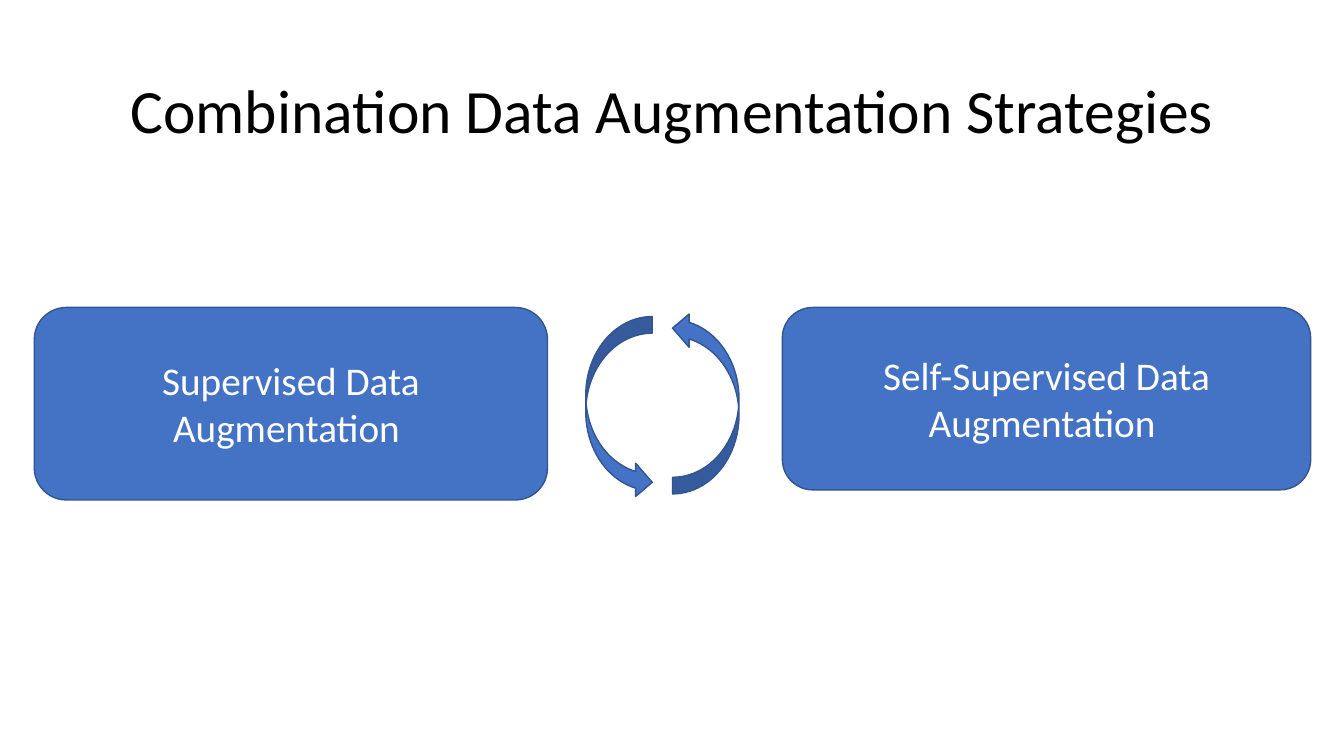
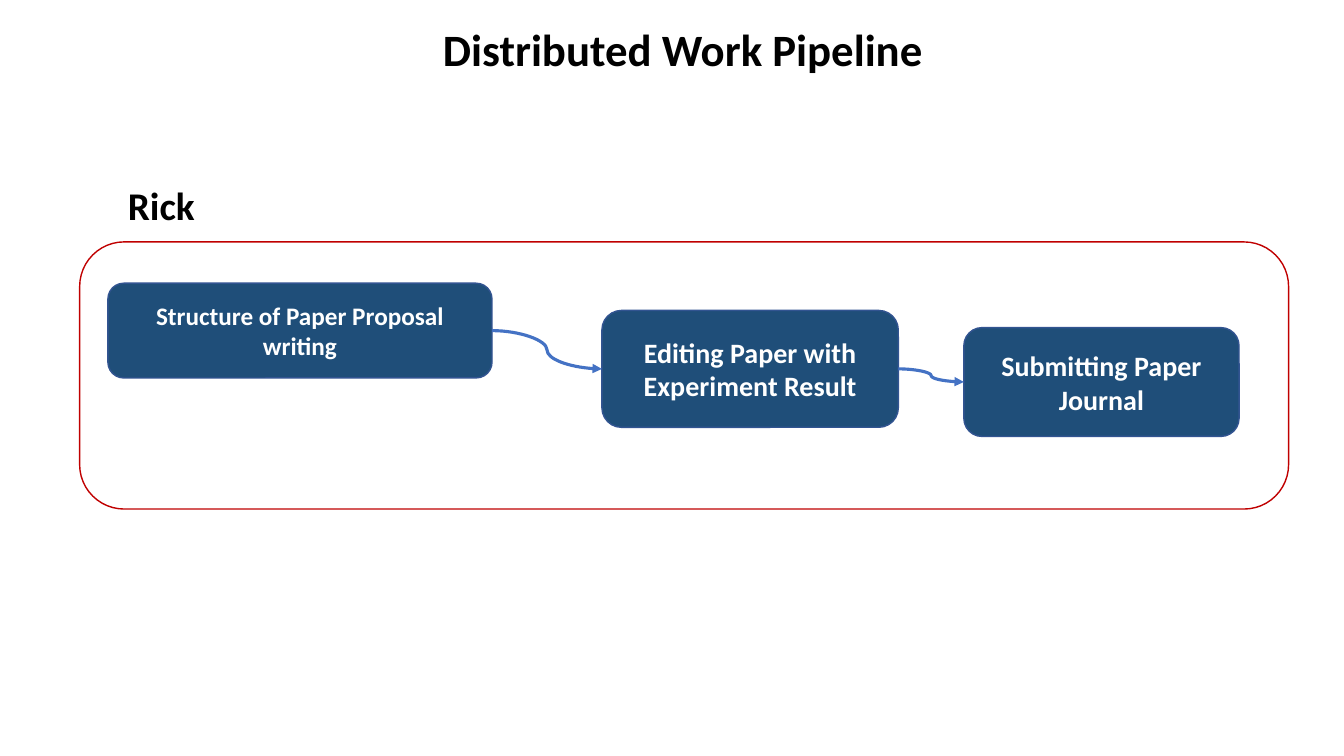
from lxml import etree
from pptx import Presentation
from pptx.dml.color import RGBColor
from pptx.enum.shapes import MSO_CONNECTOR, MSO_SHAPE as SHAPE
from pptx.enum.text import MSO_ANCHOR as ANCHOR, PP_ALIGN as ALIGN
from pptx.oxml.ns import qn
from pptx.util import Inches, Pt

FONT = "Calibri"
COLORS = {
    "text": "000000",
    "light": "FFFFFF",
    "blue": "4472C4",
    "navy": "1F4E79",
    "edge": "325491",
    "red": "C00000",
}
RIGHT_SITE, LEFT_SITE = 3, 1


def color(name):
    return RGBColor.from_string(COLORS[name])


def write(s, text, size, ink="text", bold=False, align=ALIGN.CENTER,
          anchor=ANCHOR.TOP):
    tf = s.text_frame
    tf.word_wrap = True
    tf.vertical_anchor = anchor
    p = tf.paragraphs[0]
    p.text = text
    p.alignment = align
    p.font.name = FONT
    p.font.size = Pt(size)
    p.font.bold = bold
    p.font.color.rgb = color(ink)
    return p


def add_text(slide, box, text, size, **style):
    tb = slide.shapes.add_textbox(*map(Inches, box))
    return write(tb, text, size, **style)


def add_shape(slide, kind, box, fill=None, line="edge"):
    sp = slide.shapes.add_shape(kind, *map(Inches, box))
    sp.shadow.inherit = False
    if fill:
        sp.fill.solid()
        sp.fill.fore_color.rgb = color(fill)
    else:
        sp.fill.background()
    sp.line.color.rgb = color(line)
    sp.line.width = Pt(1)
    return sp


def add_box(slide, box, text, size, fill, bold=False):
    sp = add_shape(slide, SHAPE.ROUNDED_RECTANGLE, box, fill)
    write(sp, text, size, ink="light", bold=bold, anchor=ANCHOR.MIDDLE)
    return sp


def add_link(slide, start, end):
    """Curved arrow from the right side of one box to the left of the next."""
    cx = slide.shapes.add_connector(MSO_CONNECTOR.CURVE, 0, 0, 0, 0)
    cx.begin_connect(start, RIGHT_SITE)
    cx.end_connect(end, LEFT_SITE)
    cx.line.color.rgb = color("blue")
    cx.line.width = Pt(2.25)
    etree.SubElement(cx.line._get_or_add_ln(), qn("a:tailEnd"), type="triangle")
    etree.SubElement(cx._element.spPr, qn("a:effectLst"))


def add_cycle(slide, left, top):
    """Two curved arrows that form a loop."""
    w, h = 0.66, 1.81
    up = add_shape(slide, SHAPE.CURVED_LEFT_ARROW,
                   (left + 0.86, top, w, h), "blue")
    up.rotation = 180
    up._element.spPr.find(qn("a:xfrm")).set("flipH", "1")
    add_shape(slide, SHAPE.CURVED_RIGHT_ARROW, (left, top + 0.05, w, h), "blue")


def add_pipeline(slide, left, top, owner):
    """Owner's name above a red frame with linked steps."""
    steps = [
        ((0.28, 0.41, 3.81, 0.94), "Structure of Paper Proposal writing", 18),
        ((5.18, 0.68, 2.94, 1.16), "Editing Paper with Experiment Result", 20),
        ((8.77, 0.85, 2.73, 1.08), "Submitting Paper Journal", 20),
    ]
    boxes = [add_box(slide, (left + x, top + y, w, h), text, size, "navy", True)
             for (x, y, w, h), text, size in steps]
    for start, end in zip(boxes, boxes[1:]):
        add_link(slide, start, end)
    add_shape(slide, SHAPE.ROUNDED_RECTANGLE, (left, top, 11.99, 2.65), line="red")
    add_text(slide, (left + 0.38, top - 0.65, 2.47, 0.57), owner, 28,
             bold=True, align=ALIGN.LEFT)


def build_strategies(slide):
    # Title
    p = add_text(slide, (0.92, 0.4, 11.5, 1.45),
                 "Combination Data Augmentation Strategies", 44,
                 anchor=ANCHOR.MIDDLE)
    p.line_spacing = 0.9
    # Two strategies and the loop between them
    top = 3.05
    add_box(slide, (0.34, top, 5.09, 1.91),
            "Supervised Data Augmentation ", 28, "blue")
    add_box(slide, (7.76, top, 5.24, 1.81),
            "Self-Supervised Data Augmentation ", 28, "blue")
    add_cycle(slide, 5.81, top + 0.04)


def build_work_plan(slide):
    add_text(slide, (3.86, 0.17, 5.83, 1.18), "Distributed Work Pipeline", 32,
             bold=True)
    add_pipeline(slide, 0.79, 2.4, "Rick")


def main():
    prs = Presentation()
    prs.slide_width, prs.slide_height = Inches(13.33), Inches(7.5)
    blank = prs.slide_layouts[6]
    for build in (build_strategies, build_work_plan):
        build(prs.slides.add_slide(blank))
    prs.save("out.pptx")


if __name__ == "__main__":
    main()
